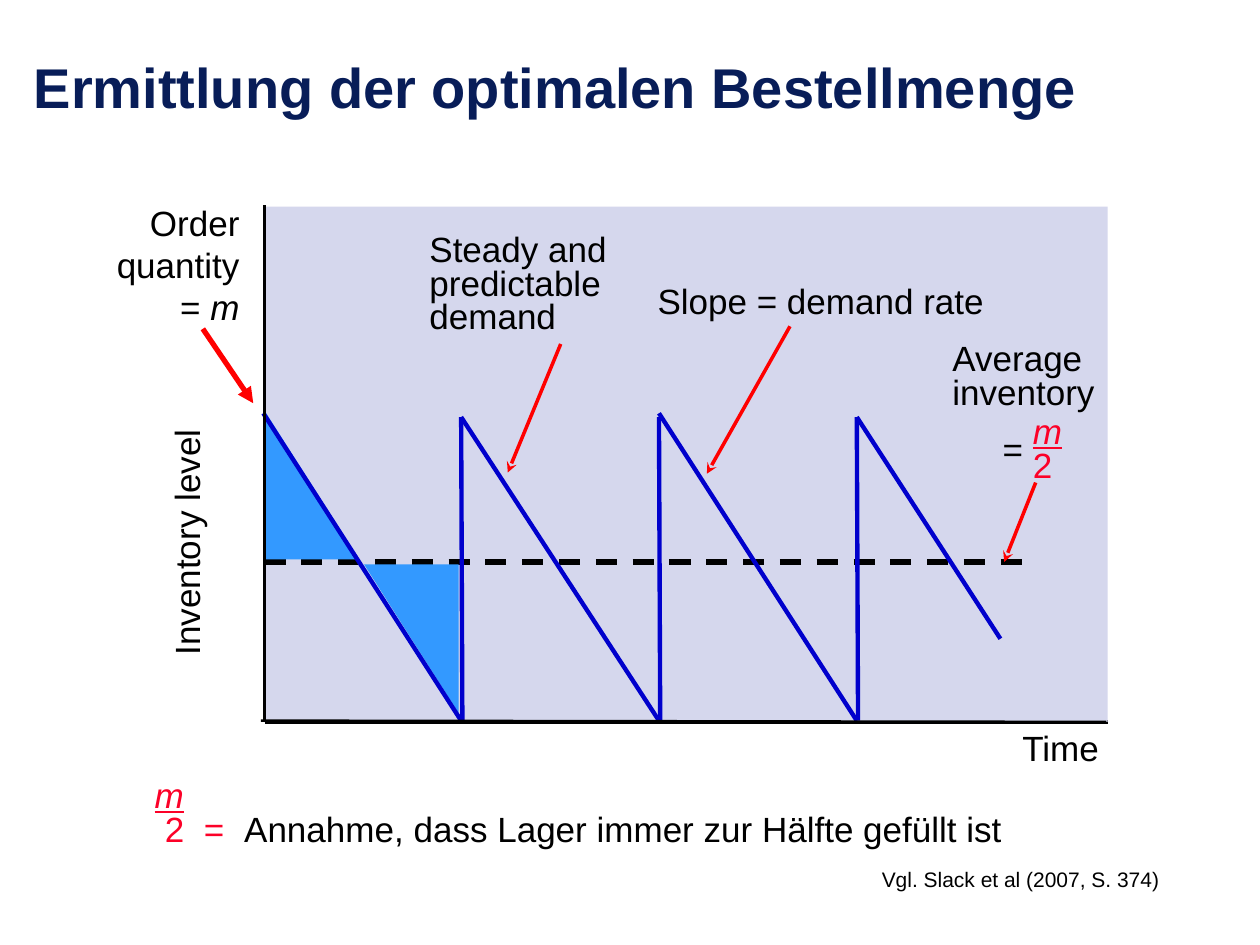
from lxml import etree
from pptx import Presentation
from pptx.dml.color import RGBColor
from pptx.enum.dml import MSO_LINE
from pptx.enum.shapes import MSO_CONNECTOR, MSO_SHAPE
from pptx.enum.text import PP_ALIGN
from pptx.oxml.ns import qn
from pptx.util import Inches, Pt

BLACK = RGBColor(0x00, 0x00, 0x00)
NAVY = RGBColor(0x08, 0x1D, 0x58)
RED = RGBColor(0xFF, 0x00, 0x00)
CRIMSON = RGBColor(0xFC, 0x01, 0x28)
BLUE = RGBColor(0x00, 0x00, 0xCC)
SKY = RGBColor(0x33, 0x99, 0xFF)
LAVENDER = RGBColor(0xD5, 0xD7, 0xED)


def style(para, size=20, color=BLACK, spacing=None, align=PP_ALIGN.LEFT):
    para.alignment = align
    para.line_spacing = spacing
    para.font.name = "Arial"
    para.font.size = Pt(size)
    para.font.color.rgb = color


def add_text(page, left, top, width, height, text="", **look):
    box = page.shapes.add_textbox(Inches(left), Inches(top), Inches(width), Inches(height))
    box.text_frame.word_wrap = True
    para = box.text_frame.paragraphs[0]
    para.text = text
    style(para, **look)
    return box


def add_line(page, start, end, color=BLACK, weight=1.75, head=None):
    points = [Inches(value) for value in (*start, *end)]
    line = page.shapes.add_connector(MSO_CONNECTOR.STRAIGHT, *points)
    line.line.color.rgb = color
    line.line.width = Pt(weight)
    if head:
        etree.SubElement(line.line._get_or_add_ln(), qn("a:tailEnd"), type=head)
    etree.SubElement(line._element.spPr, qn("a:effectLst"))
    return line


def add_filled(page, kind, left, top, width, height, color):
    shape = page.shapes.add_shape(kind, Inches(left), Inches(top), Inches(width), Inches(height))
    shape.shadow.inherit = False
    shape.fill.solid()
    shape.fill.fore_color.rgb = color
    shape.line.fill.background()
    return shape


def add_fraction(page, left, top, width, height, tab_stops=()):
    """Underlined m above a 2; returns the lower paragraph."""
    box = add_text(page, left, top, width, height, "m", color=CRIMSON, spacing=0.7)
    upper = box.text_frame.paragraphs[0]
    upper.font.italic = True
    upper.font.underline = True
    lower = box.text_frame.add_paragraph()
    if tab_stops:
        tabs = etree.SubElement(lower._p.get_or_add_pPr(), qn("a:tabLst"))
        for stop in tab_stops:
            etree.SubElement(tabs, qn("a:tab"), pos=str(Inches(stop)), algn="l")
    style(lower, color=CRIMSON, spacing=0.2)
    lower.space_before = Pt(12.5)
    lower.add_run().text = "\t2\t=\t" if tab_stops else "2"
    return lower


def add_plot_area(page, left, top, width, height):
    bottom = top + height
    add_line(page, (left, bottom), (left + width, bottom))
    add_filled(page, MSO_SHAPE.RECTANGLE, left, top, width, height, LAVENDER)
    # Axis titles
    add_text(page, 7.93, 5.78, 0.89, 0.37, "Time", spacing=0.8, align=PP_ALIGN.RIGHT)
    level = add_text(page, 0.41, 4.12, 2.2, 0.37, "Inventory level",
                     spacing=0.8, align=PP_ALIGN.CENTER)
    level.rotation = 270


def add_average(page, left, level):
    # Dashed mean level
    mean = add_line(page, (left, level), (8.23, level), weight=3)
    mean.line.dash_style = MSO_LINE.DASH
    # Label with fraction
    add_text(page, 7.46, 2.69, 2.21, 0.64, "Average inventory", spacing=0.8)
    add_text(page, 7.86, 3.34, 0.31, 0.44, "=")
    add_fraction(page, 8.1, 3.29, 0.57, 0.58)
    add_line(page, (8.22, 3.83), (7.97, level), RED, 2, "stealth")
    # Equal areas above and below the mean
    add_filled(page, MSO_SHAPE.RIGHT_TRIANGLE, left, level - 1.2, 0.75, 1.18, SKY)
    below = add_filled(page, MSO_SHAPE.RIGHT_TRIANGLE, left + 0.79, level + 0.02, 0.75, 1.18, SKY)
    below.rotation = 180


def add_sawtooth(page, left, bottom, period=1.57):
    peaks = (3.28, 3.31, 3.28, 3.31)
    for cycle, peak in enumerate(peaks):
        start = left + cycle * period
        # Delivery
        if cycle:
            add_line(page, (start + 0.01, bottom), (start, 3.31), BLUE, 2.5)
        # Steady use; the last cycle is cut short
        end = (7.94, 5.07) if cycle == len(peaks) - 1 else (start + period, bottom)
        add_line(page, (start, peak), end, BLUE, 2.5)


def add_callouts(page):
    add_text(page, 3.31, 1.82, 1.87, 0.9, "Steady and predictable demand", spacing=0.8)
    add_line(page, (4.45, 2.73), (4.03, 3.75), RED, 2, "stealth")
    add_text(page, 5.12, 2.23, 3.05, 0.37, "Slope = demand rate", spacing=0.8)
    add_line(page, (6.27, 2.59), (5.61, 3.76), RED, 2, "stealth")
    # Order quantity
    order = add_text(page, 0.27, 1.55, 1.73, 1.1, "Order\vquantity\v= ", align=PP_ALIGN.RIGHT)
    span = order.text_frame.paragraphs[0].add_run()
    span.text = "m"
    span.font.italic = True
    add_line(page, (1.61, 2.61), (2.01, 3.2), RED, 3, "triangle")


def add_axes(page, left, top, right, bottom):
    add_line(page, (left - 0.03, bottom), (right, bottom + 0.01), weight=1.5)
    add_line(page, (left, top), (left, bottom))


def add_assumption(page, left, top, width, height):
    lower = add_fraction(page, left, top, width, height, tab_stops=(0.08, 0.39, 0.71))
    span = lower.add_run()
    span.text = "Annahme, dass Lager immer zur Hälfte gefüllt ist"
    span.font.color.rgb = BLACK


def main():
    deck = Presentation()
    deck.slide_width, deck.slide_height = Inches(10), Inches(7.5)
    page = deck.slides.add_slide(deck.slide_layouts[6])
    add_text(page, 6.9, 6.83, 2.53, 0.3, "Vgl. Slack et al (2007, S. 374)", size=12)
    add_plot_area(page, 2.1, 1.64, 6.69, 4.09)
    add_average(page, 2.1, 4.46)
    add_sawtooth(page, 2.09, 5.72)
    add_callouts(page)
    add_axes(page, 2.1, 1.63, 8.78, 5.72)
    add_assumption(page, 1.13, 6.18, 7.26, 0.58)
    title = add_text(page, 0.17, 0.37, 9.64, 1.03, "Ermittlung der optimalen Bestellmenge",
                     size=32, color=NAVY)
    title.text_frame.paragraphs[0].font.bold = True
    deck.save("out.pptx")


if __name__ == "__main__":
    main()
